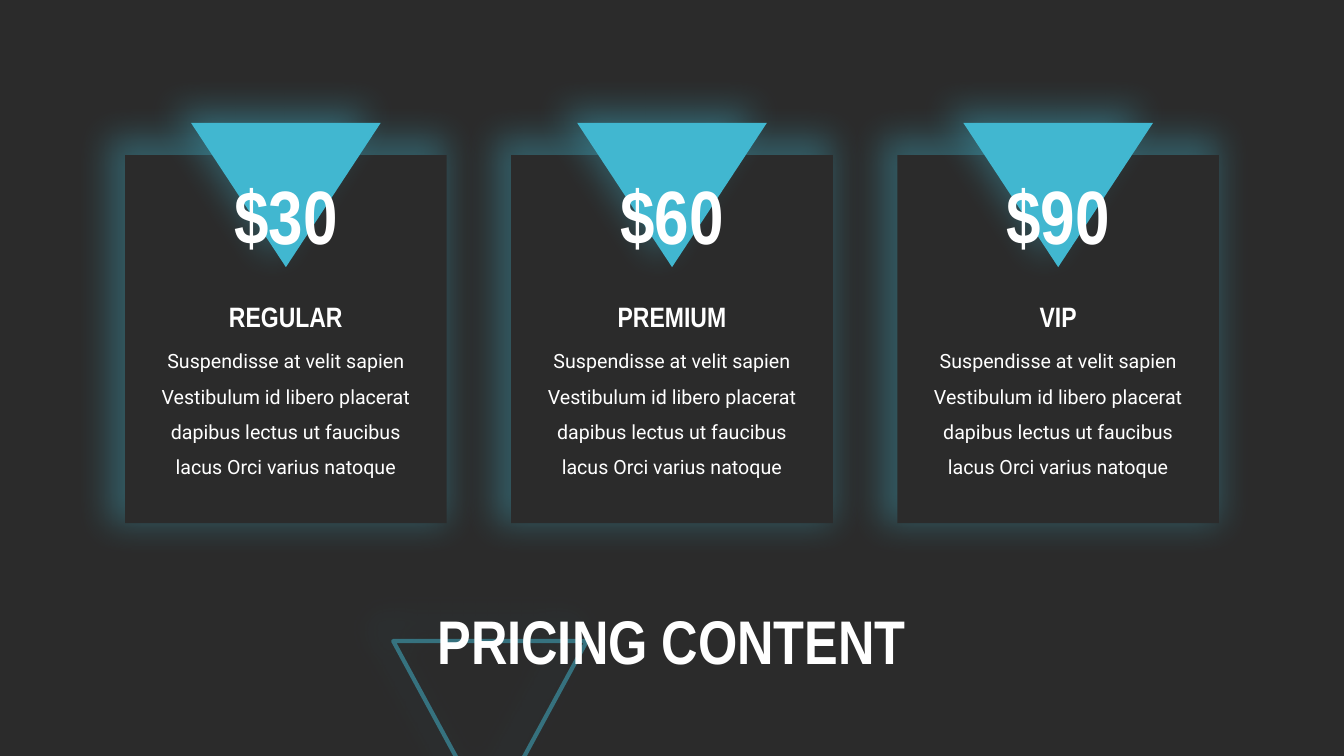
import pptx
import pptx.util
import pptx.dml.color
import pptx.enum.shapes
import pptx.enum.text
import pptx.oxml
import pptx.oxml.ns

TITLE = "PRICING CONTENT"
DETAILS = ("Suspendisse at velit sapien Vestibulum id libero placerat "
           "dapibus lectus ut faucibus lacus Orci varius natoque")
PLANS = [("$30", "REGULAR"), ("$60", "PREMIUM"), ("$90", "VIP")]

DARK, TEAL, WHITE = "2B2B2B", "41B7D0", "FFFFFF"
HEADING_FONT, BODY_FONT = "Arial Narrow", "Roboto"
WIDTH, HEIGHT = 13.33, 7.5
CENTER = WIDTH / 2
CARD_PITCH = 3.83
CARD_WIDTH, CARD_HEIGHT, CARD_TOP = 3.19, 3.65, 1.54
BADGE_WIDTH, BADGE_HEIGHT, BADGE_TOP = 1.88, 1.43, 1.22

SHAPES = pptx.enum.shapes.MSO_SHAPE
ANCHORS = pptx.enum.text.MSO_ANCHOR
inches = pptx.util.Inches


def color(value):
    return pptx.dml.color.RGBColor.from_string(value)


def set_opacity(color_format_parent, percent):
    """Make the colour found under an XML element partly transparent."""
    found = color_format_parent.find(".//" + pptx.oxml.ns.qn("a:srgbClr"))
    found.append(pptx.oxml.parse_xml(
        f'<a:alpha {pptx.oxml.ns.nsdecls("a")} val="{percent * 1000}"/>'))


def add_glow(shape):
    """Give the shape a soft teal shadow that spreads up and to the left."""
    shape._element.spPr.append(pptx.oxml.parse_xml(
        f'<a:effectLst {pptx.oxml.ns.nsdecls("a")}>'
        f'<a:outerShdw blurRad="{pptx.util.Pt(25)}" dist="0" dir="0" sx="105000" '
        'sy="105000" algn="br" rotWithShape="0">'
        f'<a:srgbClr val="{TEAL}"><a:alpha val="35000"/></a:srgbClr>'
        '</a:outerShdw></a:effectLst>'))


def add_glowing_shape(slide, kind, center, top, width, height, fill=None, rotation=0):
    shape = slide.shapes.add_shape(kind, inches(center - width / 2), inches(top),
                                   inches(width), inches(height))
    shape.rotation = rotation
    if fill:
        shape.fill.solid()
        shape.fill.fore_color.rgb = color(fill)
        shape.line.fill.background()
    else:
        shape.fill.background()
        shape.line.color.rgb = color(TEAL)
        shape.line.width = pptx.util.Pt(3)
        set_opacity(shape.line._ln, 50)
    add_glow(shape)
    return shape


def add_text(slide, text, center, top, width, height, *, size, font=HEADING_FONT,
             bold=True, spacing=1.0, anchor=ANCHORS.TOP):
    box = slide.shapes.add_textbox(inches(center - width / 2), inches(top),
                                   inches(width), inches(height))
    frame = box.text_frame
    frame.word_wrap = True
    frame.vertical_anchor = anchor
    paragraph = frame.paragraphs[0]
    paragraph.alignment = pptx.enum.text.PP_ALIGN.CENTER
    paragraph.line_spacing = spacing
    run = paragraph.add_run()
    run.text = text
    run.font.name = font
    run.font.size = pptx.util.Pt(size)
    run.font.bold = bold
    run.font.color.rgb = color(WHITE)


def add_backdrop(slide):
    builder = slide.shapes.build_freeform(0, 0, scale=inches(1))
    builder.add_line_segments([(WIDTH, 0), (WIDTH, 0.95), (CENTER, 4.5), (0, 0.95)])
    backdrop = builder.convert_to_shape()
    backdrop.shadow.inherit = False
    backdrop.fill.solid()
    backdrop.fill.fore_color.rgb = color(DARK)
    set_opacity(backdrop._element.spPr, 80)
    backdrop.line.fill.background()


def add_plan(slide, center, price, name):
    add_glowing_shape(slide, SHAPES.RECTANGLE, center, CARD_TOP,
                      CARD_WIDTH, CARD_HEIGHT, fill=DARK)
    add_glowing_shape(slide, SHAPES.ISOSCELES_TRIANGLE, center, BADGE_TOP,
                      BADGE_WIDTH, BADGE_HEIGHT, fill=TEAL, rotation=180)
    add_text(slide, price, center, 1.63, 1.67, 1.01, size=54)
    add_text(slide, name, center, 2.92, BADGE_WIDTH, 0.44, size=20)
    add_text(slide, DETAILS, center, 3.3, 2.81, 1.48, size=14,
             font=BODY_FONT, bold=False, spacing=1.5)


def main():
    presentation = pptx.Presentation()
    presentation.slide_width = inches(WIDTH)
    presentation.slide_height = inches(HEIGHT)
    slide = presentation.slides.add_slide(presentation.slide_layouts[6])
    slide.background.fill.solid()
    slide.background.fill.fore_color.rgb = color(DARK)

    add_backdrop(slide)
    add_glowing_shape(slide, SHAPES.ISOSCELES_TRIANGLE, 4.86, 6.36, 1.92, 1.77,
                      rotation=180)
    add_text(slide, TITLE, CENTER, 5.9, 6.8, 0.98, size=44, spacing=0.9,
             anchor=ANCHORS.MIDDLE)
    for index, (price, name) in enumerate(PLANS):
        offset = index - (len(PLANS) - 1) / 2
        add_plan(slide, CENTER + offset * CARD_PITCH, price, name)
    presentation.save("out.pptx")


if __name__ == "__main__":
    main()
